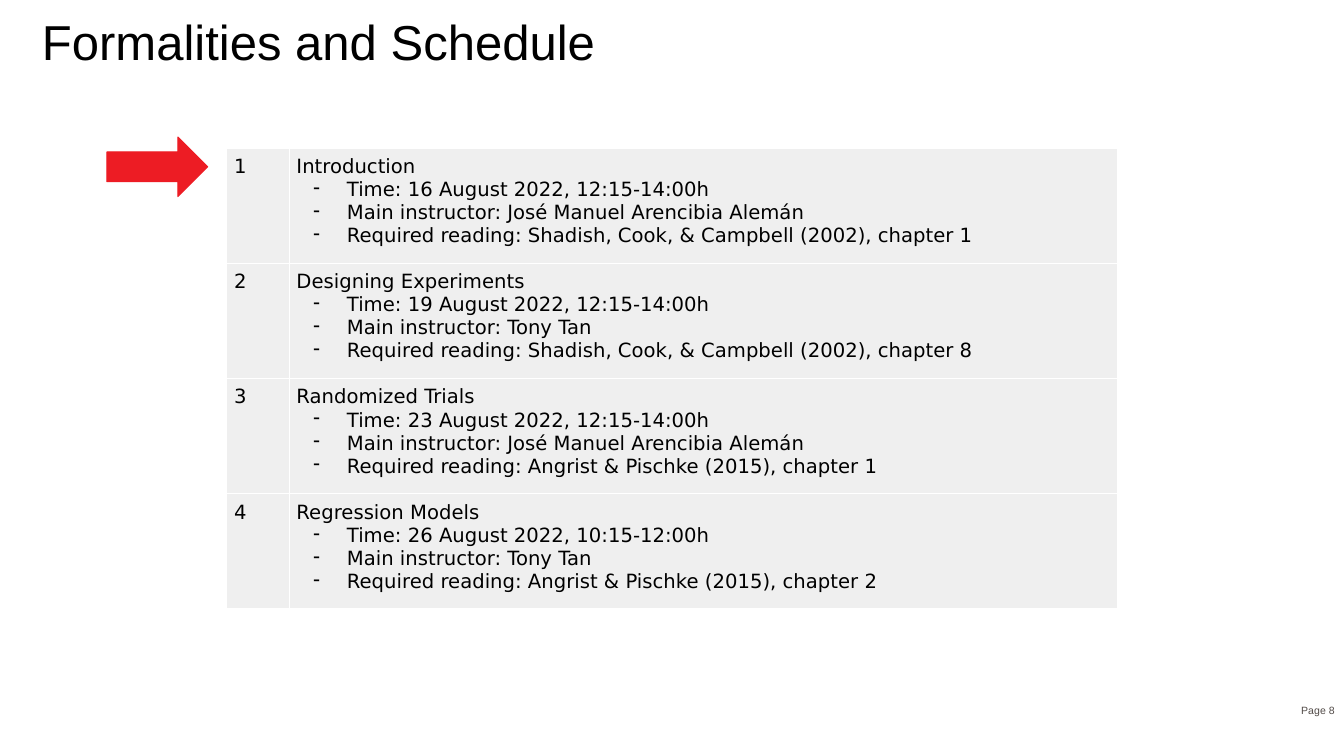
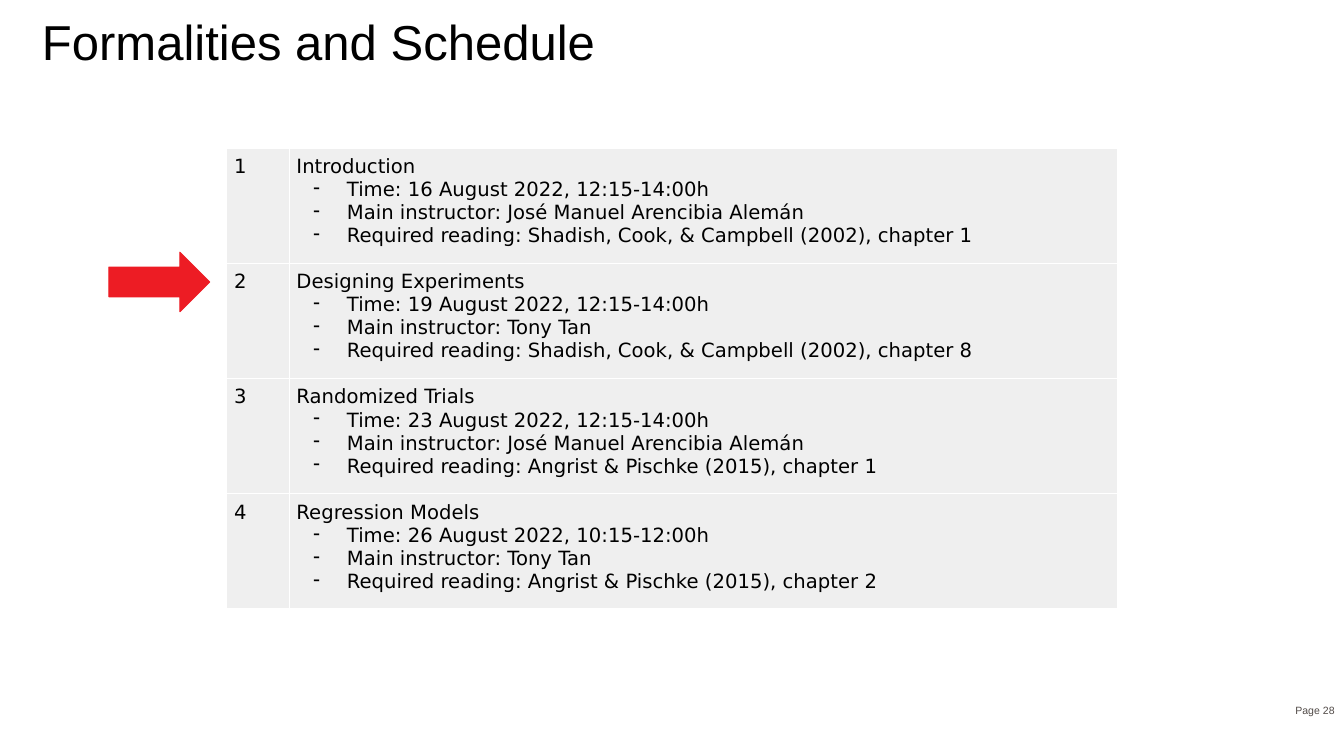
from dataclasses import dataclass

from pptx import Presentation
from pptx import util as u
from pptx.dml import color
from pptx.enum import shapes, text
from pptx.oxml import ns
from lxml import etree


@dataclass(frozen=True)
class Theme:
    ink: str = "000000"
    muted: str = "524B48"
    cell: str = "EFEFEF"
    border: str = "FFFFFF"
    marker: str = "ED1C24"
    heading_font: str = "Arial"
    table_font: str = "DejaVu Sans"
    title_size: float = 35
    table_size: float = 14
    footer_size: float = 7.5
    border_width: float = 1
    marker_line: float = 0.75


@dataclass(frozen=True)
class Box:
    left: float
    top: float
    width: float
    height: float

    def area(self, left, top, width, height):
        return Box(self.left + left, self.top + top, width, height)

    def row(self, index, count):
        height = self.height / count
        return self.area(0, index * height, self.width, height)

    def lengths(self):
        return [grid(value) for value in (self.left, self.top, self.width, self.height)]


THEME = Theme()
COLUMNS, ROWS = 160, 90
SLIDE_WIDTH = u.Inches(13.33)
PAGE = Box(0, 0, COLUMNS, ROWS)
TITLE_BOX = PAGE.area(5, 2.16, 150, 9.84)
FOOTER_BOX = PAGE.area(152.16, 82.2, 7.92, 4.8)
TABLE_BOX = PAGE.area(27, 17.64, 106.08, 54.84)
NUMBER_WIDTH = 7.44
CELL_INSET = 0.86
BULLET_INDENT, BULLET_HANG = 6, 4
ARROW_WIDTH, ARROW_HEIGHT, ARROW_RISE = 12, 7.08, 1.32

TITLE = "Formalities and Schedule"
SESSIONS = [
    ("Introduction", "16 August 2022, 12:15-14:00h",
     "José Manuel Arencibia Alemán", "Shadish, Cook, & Campbell (2002), chapter 1"),
    ("Designing Experiments", "19 August 2022, 12:15-14:00h",
     "Tony Tan", "Shadish, Cook, & Campbell (2002), chapter 8"),
    ("Randomized Trials", "23 August 2022, 12:15-14:00h",
     "José Manuel Arencibia Alemán", "Angrist & Pischke (2015), chapter 1"),
    ("Regression Models", "26 August 2022, 10:15-12:00h",
     "Tony Tan", "Angrist & Pischke (2015), chapter 2"),
]
DETAIL_LABELS = ("Time", "Main instructor", "Required reading")


def grid(units):
    return u.Emu(round(units * SLIDE_WIDTH / COLUMNS))


def rgb(value):
    return color.RGBColor.from_string(value)


def place(shape, box):
    shape.left, shape.top, shape.width, shape.height = box.lengths()


def write(paragraph, content, *, size, font, ink=THEME.ink,
          align=text.PP_ALIGN.LEFT, spacing=None, bullet=None):
    paragraph.alignment = align
    if spacing:
        paragraph.line_spacing = spacing
    if bullet:
        properties = paragraph._p.get_or_add_pPr()
        properties.set("marL", str(grid(BULLET_INDENT)))
        properties.set("indent", str(-grid(BULLET_HANG)))
        etree.SubElement(properties, ns.qn("a:buChar"), char=bullet)
    run = paragraph.add_run()
    run.text = content
    run.font.size = u.Pt(size)
    run.font.name = font
    run.font.bold = False
    run.font.color.rgb = rgb(ink)


def set_insets(holder, inset):
    holder.margin_left = holder.margin_right = inset
    holder.margin_top = holder.margin_bottom = inset


def add_title(slide, box, content):
    title = slide.shapes.title
    place(title, box)
    frame = title.text_frame
    set_insets(frame, 0)
    frame.word_wrap = True
    frame.auto_size = text.MSO_AUTO_SIZE.NONE
    frame.vertical_anchor = text.MSO_ANCHOR.TOP
    write(frame.paragraphs[0], content, size=THEME.title_size,
          font=THEME.heading_font, spacing=0.9)


def add_footer(slide, box, page_number):
    frame = slide.shapes.add_textbox(*box.lengths()).text_frame
    frame.word_wrap = True
    frame.vertical_anchor = text.MSO_ANCHOR.MIDDLE
    write(frame.paragraphs[0], f"Page {page_number}", size=THEME.footer_size,
          font=THEME.heading_font, ink=THEME.muted, align=text.PP_ALIGN.RIGHT)


def format_cell(cell):
    set_insets(cell, grid(CELL_INSET))
    cell.vertical_anchor = text.MSO_ANCHOR.TOP
    properties = cell._tc.get_or_add_tcPr()
    for side in ("lnL", "lnR", "lnT", "lnB"):
        line = etree.SubElement(properties, ns.qn(f"a:{side}"),
                                w=str(u.Pt(THEME.border_width)))
        fill = etree.SubElement(line, ns.qn("a:solidFill"))
        etree.SubElement(fill, ns.qn("a:srgbClr"), val=THEME.border)
    cell.fill.solid()
    cell.fill.fore_color.rgb = rgb(THEME.cell)


def fill_cell(cell, heading, details=()):
    format_cell(cell)
    style = {"size": THEME.table_size, "font": THEME.table_font}
    frame = cell.text_frame
    write(frame.paragraphs[0], heading, **style)
    for detail in details:
        write(frame.add_paragraph(), detail, bullet="-", **style)


def add_schedule(slide, box, sessions):
    table = slide.shapes.add_table(len(sessions), 2, *box.lengths()).table
    table.first_row = table.horz_banding = False
    table.columns[0].width = grid(NUMBER_WIDTH)
    table.columns[1].width = grid(box.width - NUMBER_WIDTH)
    for index, (topic, *values) in enumerate(sessions):
        table.rows[index].height = grid(box.height / len(sessions))
        details = [f"{label}: {value}" for label, value in zip(DETAIL_LABELS, values)]
        fill_cell(table.cell(index, 0), str(index + 1))
        fill_cell(table.cell(index, 1), topic, details)


def add_arrow(slide, row_box, gap):
    box = row_box.area(-gap - ARROW_WIDTH, -ARROW_RISE, ARROW_WIDTH, ARROW_HEIGHT)
    arrow = slide.shapes.add_shape(shapes.MSO_SHAPE.RIGHT_ARROW, *box.lengths())
    arrow.shadow.inherit = False
    arrow.fill.solid()
    arrow.fill.fore_color.rgb = rgb(THEME.marker)
    arrow.line.color.rgb = rgb(THEME.marker)
    arrow.line.width = u.Pt(THEME.marker_line)


def add_schedule_slide(presentation, page_number, current, arrow_gap):
    slide = presentation.slides.add_slide(presentation.slide_layouts[5])
    add_title(slide, TITLE_BOX, TITLE)
    add_footer(slide, FOOTER_BOX, page_number)
    add_schedule(slide, TABLE_BOX, SESSIONS)
    add_arrow(slide, TABLE_BOX.row(current, len(SESSIONS)), arrow_gap)


def main():
    presentation = Presentation()
    presentation.slide_width = SLIDE_WIDTH
    presentation.slide_height = grid(ROWS)
    add_schedule_slide(presentation, page_number=8, current=0, arrow_gap=2.28)
    add_schedule_slide(presentation, page_number=28, current=1, arrow_gap=2.04)
    presentation.save("out.pptx")


if __name__ == "__main__":
    main()
